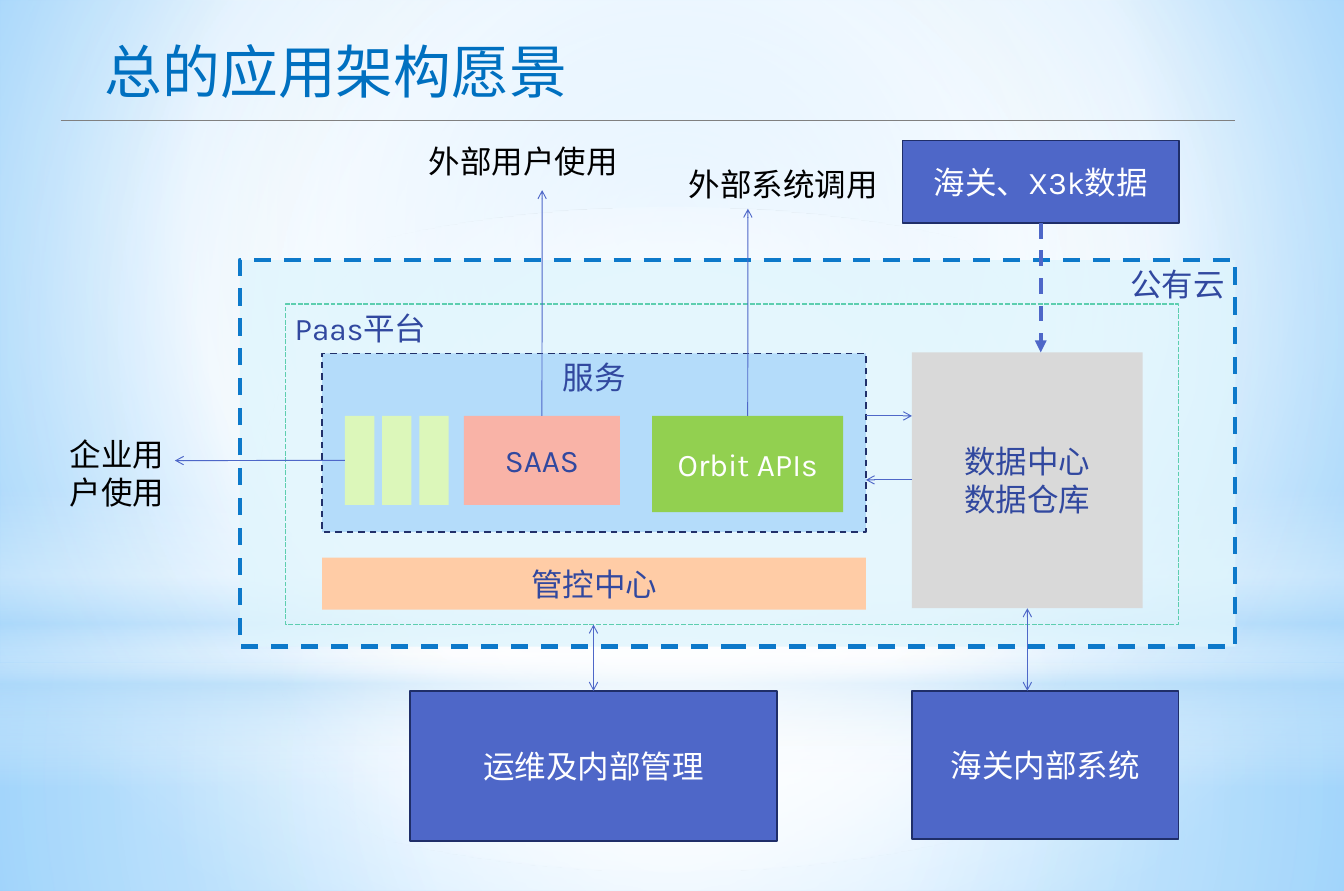
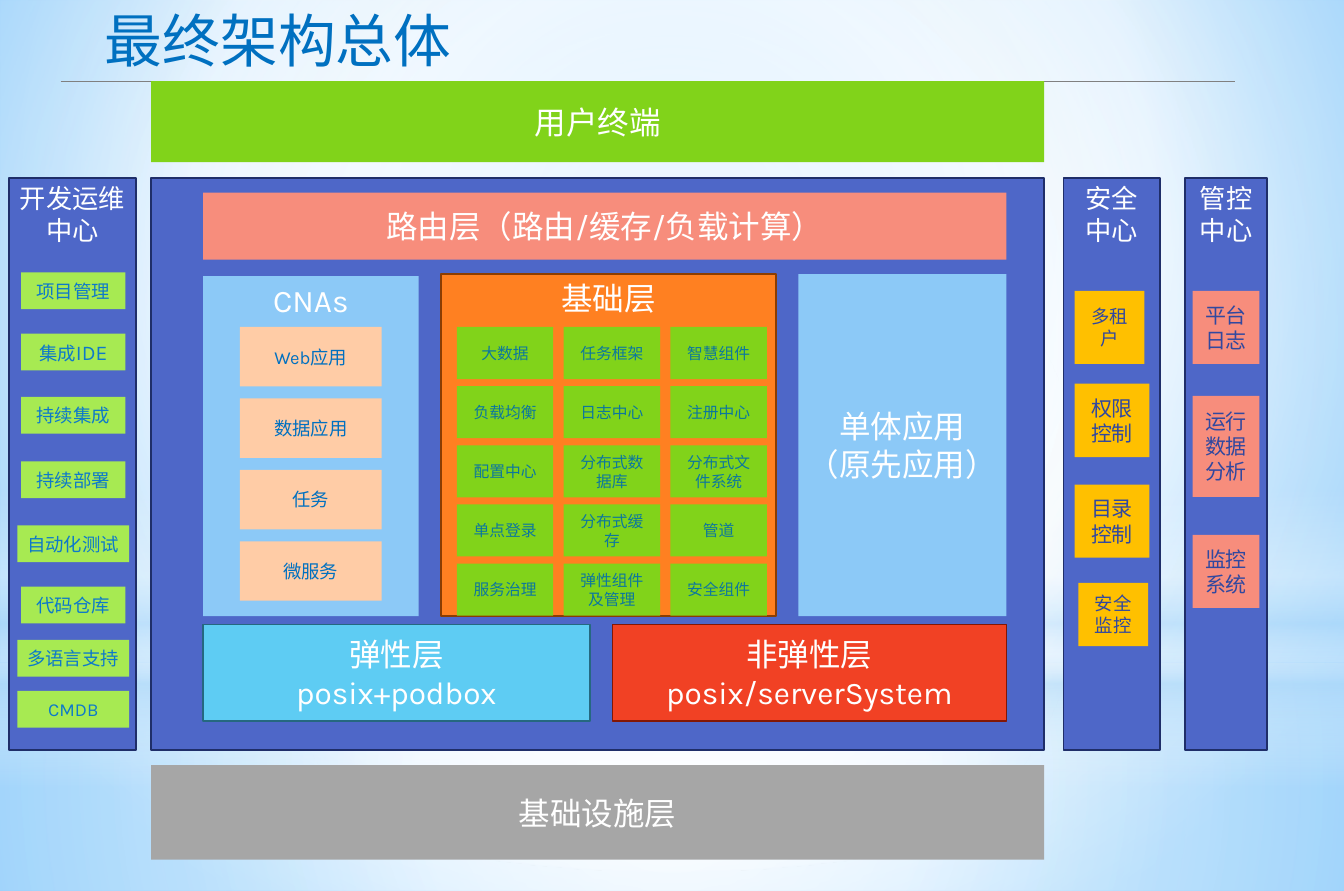
"""Build two slides on the cloud vision and the final layered system."""
from dataclasses import dataclass, replace

from lxml import etree
from pptx import Presentation
from pptx.dml.color import RGBColor
from pptx.enum.dml import MSO_LINE
from pptx.enum.shapes import MSO_CONNECTOR, MSO_SHAPE
from pptx.enum.text import MSO_ANCHOR, MSO_AUTO_SIZE, PP_ALIGN
from pptx.oxml.ns import qn
from pptx.presentation import Presentation as Deck
from pptx.shapes.autoshape import Shape
from pptx.slide import Slide
from pptx.util import Cm, Pt

RECT, OVAL = MSO_SHAPE.RECTANGLE, MSO_SHAPE.OVAL
LINE = MSO_CONNECTOR.STRAIGHT
DASH, DOTS = MSO_LINE.DASH, MSO_LINE.SQUARE_DOT
TOP, MID = MSO_ANCHOR.TOP, MSO_ANCHOR.MIDDLE
LEFT, MIDST = PP_ALIGN.LEFT, PP_ALIGN.CENTER
GROW = MSO_AUTO_SIZE.SHAPE_TO_FIT_TEXT
NORTH, WEST, SOUTH = 0, 1, 2

WIDE, HIGH = 36.12, 23.95
LATIN, HAN = "Karla", "Noto Sans CJK SC"
HUES = {
    "white": "FFFFFF", "black": "000000", "title": "0070C0", "rule": "808080",
    "sky": "9ED5FF", "deep": "5BB9FF", "mist": "B4DCFA", "ink": "31489F",
    "blue": "4E67C8", "navy": "1F2E69", "cloud": "DFF5FD", "azure": "0D79CA",
    "mint": "5DCEAF", "dusk": "21306A", "pale": "DCF7BA", "rose": "F9B3A7",
    "leaf": "92D050", "peach": "FFCCA6", "ash": "D9D9D9", "gray": "A6A6A6",
    "cyan": "5ECCF3", "teal": "256880", "red": "F14124", "wine": "821705",
    "orange": "FF8021", "brown": "8B3D02", "light": "8CC9F7",
    "coral": "F78D7C", "green": "81D31A", "lake": "0C779D", "lime": "A7EA52",
    "gold": "FFC000",
}

Stops = list[tuple[int, str, int]]


@dataclass(frozen=True)
class Box:
    x: float
    y: float
    w: float
    h: float
    text: str = ""
    fill: str = ""
    ink: str = "white"
    size: int = 24
    edge: str = ""
    thick: float = 1.25
    dash: MSO_LINE | None = None
    clear: int = 100
    anchor: MSO_ANCHOR = MID
    align: PP_ALIGN = MIDST


@dataclass(frozen=True)
class Link:
    start: tuple[float, float]
    end: tuple[float, float]
    root: Box | None = None
    site: int = 0
    both: bool = False
    head: str = "arrow"
    thick: float = 0.75
    dash: MSO_LINE | None = None


@dataclass(frozen=True)
class Glow:
    y: float
    h: float
    stops: Stops
    kind: MSO_SHAPE = RECT
    round: bool = True


GLOWS = [
    Glow(17.83, 6.12, [(0, "white", 91), (37, "white", 76), (100, "mist", 79)]),
    Glow(0, 17.83, [(0, "white", 89), (48, "white", 62), (100, "mist", 79)]),
    Glow(13.16, 7.98, [(0, "white", 0), (29, "white", 30), (45, "mist", 40),
                       (55, "white", 26), (65, "mist", 60), (100, "white", 0)],
         round=False),
    Glow(5.59, 17.83, [(0, "white", 100), (56, "white", 0)], OVAL),
]


def hue(name: str) -> RGBColor:
    return RGBColor.from_string(HUES[name])


def shade(grad: etree._Element, stops: Stops,
          focus: tuple[int, int, int, int] | None) -> None:
    for child in list(grad):
        grad.remove(child)
    steps = etree.SubElement(grad, qn("a:gsLst"))
    for pos, name, clear in stops:
        step = etree.SubElement(steps, qn("a:gs"), pos=str(pos * 1000))
        tint = etree.SubElement(step, qn("a:srgbClr"), val=HUES[name])
        etree.SubElement(tint, qn("a:alpha"), val=str(clear * 1000))
    if focus:
        way = etree.SubElement(grad, qn("a:path"), {"path": "circle"})
        sides = {k: str(v * 1000) for k, v in zip("ltrb", focus)}
        etree.SubElement(way, qn("a:fillToRect"), sides)
    else:
        etree.SubElement(grad, qn("a:lin"), ang="5400000", scaled="0")


def dress(deck: Deck, slide: Slide) -> None:
    page = deck.slide_master
    page.background.fill.gradient()
    shade(page.element.find(".//" + qn("a:gradFill")),
          [(0, "sky", 100), (60, "white", 100), (100, "deep", 100)],
          (20, 10, 20, 60))
    for num, glow in enumerate(GLOWS):
        shape = slide.shapes.add_shape(glow.kind, 0, Cm(glow.y), Cm(WIDE), Cm(glow.h))
        shape.shadow.inherit = False
        shape.line.fill.background()
        shape.fill.gradient()
        shade(shape.element.spPr.find(qn("a:gradFill")), glow.stops,
              (50, 50, 50, 50) if glow.round else None)
        shape.element.nvSpPr.cNvPr.id = 50 + num
        page.element.cSld.spTree.insert(2 + num, shape.element)


def write(shape: Shape, text: str, size: int, ink: str,
          align: PP_ALIGN = LEFT, face: str = LATIN) -> None:
    shape.text_frame.text = text
    for para in shape.text_frame.paragraphs:
        para.alignment = align
        para.font.size = Pt(size)
        para.font.name = face
        para.font.color.rgb = hue(ink)
    for font in shape.element.iter(qn("a:defRPr")):
        etree.SubElement(font, qn("a:ea"), typeface=HAN)


def draw(slide: Slide, box: Box) -> Shape:
    shape = slide.shapes.add_shape(RECT, Cm(box.x), Cm(box.y), Cm(box.w), Cm(box.h))
    shape.shadow.inherit = False
    if box.fill:
        shape.fill.solid()
        shape.fill.fore_color.rgb = hue(box.fill)
        if box.clear < 100:
            tint = shape.element.spPr.find(qn("a:solidFill"))[0]
            etree.SubElement(tint, qn("a:alpha"), val=str(box.clear * 1000))
    else:
        shape.fill.background()
    if box.edge:
        shape.line.color.rgb = hue(box.edge)
        shape.line.width = Pt(box.thick)
        if box.dash:
            shape.line.dash_style = box.dash
    else:
        shape.line.fill.background()
    if box.text:
        shape.text_frame.word_wrap = True
        shape.text_frame.vertical_anchor = box.anchor
        write(shape, box.text, box.size, box.ink, box.align)
    return shape


def label(slide: Slide, x: float, y: float, w: float, h: float,
          text: str, ink: str = "black") -> None:
    shape = slide.shapes.add_textbox(Cm(x), Cm(y), Cm(w), Cm(h))
    shape.text_frame.word_wrap = False
    shape.text_frame.auto_size = GROW
    write(shape, text, 24, ink)


def join(slide: Slide, link: Link, drawn: dict[Box, Shape]) -> None:
    ends = [Cm(v) for v in (*link.start, *link.end)]
    wire = slide.shapes.add_connector(LINE, *ends)
    if link.root:
        wire.begin_connect(drawn[link.root], link.site)
    wire.line.color.rgb = hue("blue")
    wire.line.width = Pt(link.thick)
    if link.dash:
        wire.line.dash_style = link.dash
    stroke = wire.element.spPr.find(qn("a:ln"))
    if link.both:
        etree.SubElement(stroke, qn("a:headEnd"), type=link.head)
    etree.SubElement(stroke, qn("a:tailEnd"), type=link.head)
    etree.SubElement(wire.element.spPr, qn("a:effectLst"))


def title(slide: Slide, text: str, y: float, rule: float) -> None:
    shape = slide.shapes.add_textbox(Cm(2.46), Cm(y), Cm(24.2), Cm(2.24))
    frame = shape.text_frame
    frame.word_wrap = True
    frame.margin_left = frame.margin_right = Cm(0.36)
    frame.margin_top = frame.margin_bottom = Cm(0.18)
    write(shape, text, 44, "title", face=HAN)
    wire = slide.shapes.add_connector(LINE, Cm(1.63), Cm(rule), Cm(33.2), Cm(rule))
    wire.line.color.rgb = hue("rule")
    wire.line.width = Pt(0.75)
    etree.SubElement(wire.element.spPr, qn("a:effectLst"))


def vision(slide: Slide) -> None:
    title(slide, "总的应用架构愿景", 0.79, 3.23)
    bars = [Box(9.27 + i, 11.18, 0.79, 2.39, fill="pale") for i in range(3)]
    saas = Box(12.47, 11.18, 4.19, 2.39, "SAAS", "rose", "ink")
    api = Box(17.53, 11.18, 5.13, 2.59, "Orbit APIs", "leaf")
    data = Box(24.51, 9.47, 6.2, 6.88, "数据中心\n数据仓库", "ash", "ink")
    feed = Box(24.26, 3.78, 7.42, 2.21, "海关、X3k数据", "blue", edge="navy")
    inner = Box(24.51, 18.57, 7.16, 3.99, "海关内部系统", "blue", edge="navy")
    staff = Box(11.02, 18.57, 9.86, 4.04, "运维及内部管理", "blue", edge="navy")
    boxes = [
        Box(6.45, 6.99, 26.75, 10.39, fill="cloud", clear=78,
            edge="azure", thick=3.25, dash=DASH),
        Box(7.67, 8.18, 24, 8.61, "Paas平台", ink="ink", edge="mint",
            dash=DOTS, anchor=TOP, align=LEFT),
        Box(8.66, 9.5, 14.61, 4.8, "服务", "mist", "ink", edge="dusk",
            dash=DASH, anchor=TOP),
        *bars, saas, api,
        Box(8.66, 14.99, 14.61, 1.4, "管控中心", "peach", "ink"),
        data, feed, inner, staff,
    ]
    drawn = {box: draw(slide, box) for box in boxes}
    label(slide, 30.12, 6.99, 3.07, 1.27, "公有云", "ink")
    label(slide, 11.28, 3.68, 5.64, 1.27, "外部用户使用")
    label(slide, 18.26, 4.32, 5.64, 1.27, "外部系统调用")
    label(slide, 1.63, 11.58, 3.07, 2.31, "企业用\n户使用")
    links = [
        Link((27.97, 5.99), (27.97, 9.47), feed, SOUTH, head="triangle",
             thick=3, dash=DASH),
        Link((23.27, 11.18), (24.51, 11.18)),
        Link((24.51, 12.9), (23.27, 12.9)),
        Link((14.57, 11.18), (14.57, 5.11), saas, NORTH),
        Link((20.1, 11.18), (20.1, 5.61), api, NORTH),
        Link((9.27, 12.38), (4.7, 12.38), bars[0], WEST),
        Link((27.61, 16.35), (27.61, 18.57), data, SOUTH, both=True),
        Link((15.95, 18.57), (15.95, 16.79), staff, NORTH, both=True),
    ]
    for link in links:
        join(slide, link, drawn)


def layers(slide: Slide) -> None:
    title(slide, "最终架构总体", -0.05, 2.18)
    side = Box(0.25, 4.78, 3.4, 15.39, "开发运维中心", "blue", size=20,
               edge="navy", anchor=TOP)
    boxes = [
        Box(4.06, 4.78, 24, 15.39, fill="blue", edge="navy"),
        Box(4.06, 20.57, 24, 2.54, "基础设施层", "gray"),
        Box(5.46, 16.79, 10.39, 2.59, "弹性层\nposix+podbox", "cyan", edge="teal"),
        Box(16.46, 16.79, 10.59, 2.59, "非弹性层\nposix/serverSystem", "red",
            edge="wine"),
        Box(11.86, 7.37, 8.99, 9.19, "基础层", "orange", edge="brown", anchor=TOP),
        Box(5.46, 7.42, 5.79, 9.14, "CNAs", "light", anchor=TOP),
        Box(21.46, 7.37, 5.59, 9.19, "单体应用\n（原先应用）", "light"),
        Box(5.46, 5.18, 21.59, 1.8, "路由层（路由/缓存/负载计算）", "coral"),
        Box(4.06, 2.18, 24, 2.18, "用户终端", "green"),
        side,
        replace(side, x=28.58, w=2.59, text="安全中心"),
        replace(side, x=31.85, w=2.21, text="管控中心"),
    ]
    parts = ["大数据", "任务框架", "智慧组件", "负载均衡", "日志中心", "注册中心",
             "配置中心", "分布式数据库", "分布式文件系统", "单点登录", "分布式缓存",
             "管道", "服务治理", "弹性组件及管理", "安全组件"]
    boxes += [Box(12.28 + 2.87 * (i % 3), 8.79 + 1.59 * (i // 3), 2.59, 1.4,
                  text, "green", "lake", 12) for i, text in enumerate(parts)]
    apps = ["Web应用", "数据应用", "任务", "微服务"]
    boxes += [Box(6.45, 8.79 + 1.92 * i, 3.81, 1.6, text, "peach", "title", 14)
              for i, text in enumerate(apps)]
    tools = [("项目管理", 7.32, 2.8), ("集成", 8.97, 2.8), ("持续集成", 10.67, 2.8),
             ("持续部署", 12.4, 2.8), ("自动化测试", 14.12, 3), ("代码仓库", 15.77, 2.8),
             ("多语言支持", 17.2, 3), ("CMDB", 18.57, 3)]
    boxes += [Box(1.97 - w / 2, y, w, 0.99, text, "lime", "azure", 14)
              for text, y, w in tools]
    guards = [("多租户", 28.88, 7.82, 1.88, 1.96, 14),
              ("权限控制", 28.88, 10.31, 2.01, 1.98, 16),
              ("目录控制", 28.88, 13.03, 2.01, 1.96, 16),
              ("安全监控", 28.98, 15.67, 1.88, 1.7, 14)]
    boxes += [Box(x, y, w, h, text, "gold", "ink", size)
              for text, x, y, w, h, size in guards]
    checks = [("平台日志", 7.82, 1.96), ("运行数据分析", 10.64, 2.72),
              ("监控系统", 14.38, 1.96)]
    boxes += [Box(32.05, y, 1.8, h, text, "coral", "ink", 16)
              for text, y, h in checks]
    for box in boxes:
        shape = draw(slide, box)
        if box.text == "集成":
            run = shape.text_frame.paragraphs[0].add_run()
            run.text = "IDE"
            run.font.size = Pt(16)


def main() -> None:
    deck = Presentation()
    deck.slide_width, deck.slide_height = Cm(WIDE), Cm(HIGH)
    blank = deck.slide_layouts[6]
    first, last = [deck.slides.add_slide(blank) for _ in range(2)]
    dress(deck, first)
    vision(first)
    layers(last)
    deck.save("out.pptx")


if __name__ == "__main__":
    main()
